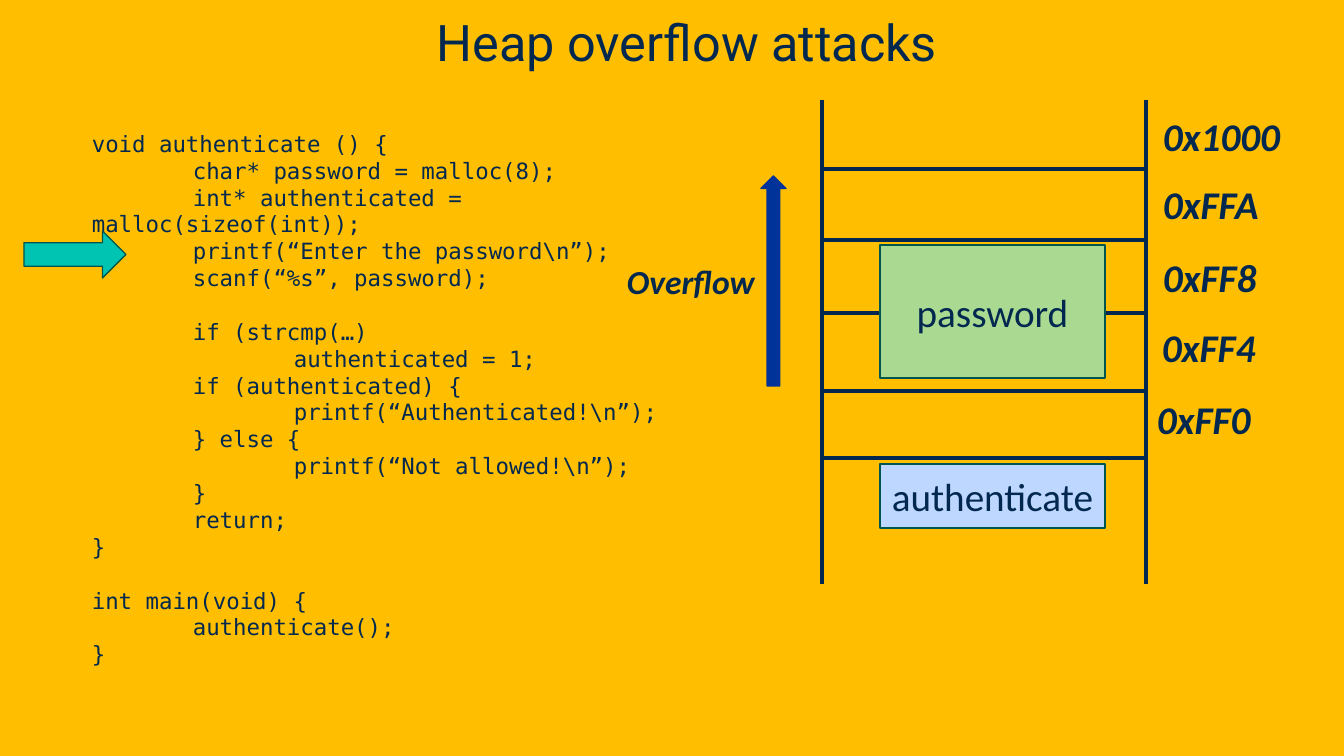
import pptx
import pptx.dml.color
import pptx.enum.shapes
import pptx.enum.text
import pptx.oxml.ns
import pptx.util
from lxml import etree

PX = 914400 / 100.8
NAVY = "022850"
TEAL = "00564E"
SHAPE = pptx.enum.shapes.MSO_SHAPE
ALIGN = pptx.enum.text.PP_ALIGN
ANCHOR = pptx.enum.text.MSO_ANCHOR

CODE = """void authenticate () {
\tchar* password = malloc(8);
\tint* authenticated = malloc(sizeof(int));
\tprintf(“Enter the password\\n”);
\tscanf(“%s”, password);

\tif (strcmp(…)
\t\tauthenticated = 1;
\tif (authenticated) {
\t\tprintf(“Authenticated!\\n”);
\t} else {
\t\tprintf(“Not allowed!\\n”);
\t}
\treturn;
}

int main(void) {
\tauthenticate();
}"""


def px(*lengths):
    return [pptx.util.Emu(round(n * PX)) for n in lengths]


def rgb(color):
    return pptx.dml.color.RGBColor.from_string(color)


def style(p, size, name="Calibri", strong=False):
    p.font.size = pptx.util.Pt(size)
    p.font.name = name
    p.font.color.rgb = rgb(NAVY)
    p.font.bold = p.font.italic = strong


def set_tabs(p, *stops):
    tabs = etree.SubElement(p._p.get_or_add_pPr(), pptx.oxml.ns.qn("a:tabLst"))
    for stop in px(*stops):
        etree.SubElement(tabs, pptx.oxml.ns.qn("a:tab"), pos=str(int(stop)), algn="l")


def add_text_frame(slide, box, wrap=True):
    tf = slide.shapes.add_textbox(*px(*box)).text_frame
    tf.word_wrap = wrap
    return tf


def add_label(slide, box, text, size):
    p = add_text_frame(slide, box, wrap=False).paragraphs[0]
    p.text = text
    style(p, size, strong=True)


def add_block(slide, kind, box, fill, line, text=""):
    sp = slide.shapes.add_shape(kind, *px(*box))
    sp.shadow.inherit = False
    sp.fill.solid()
    sp.fill.fore_color.rgb = rgb(fill)
    sp.line.color.rgb = rgb(line)
    sp.line.width = pptx.util.Pt(1)
    if text:
        tf = sp.text_frame
        tf.word_wrap = True
        tf.vertical_anchor = ANCHOR.MIDDLE
        p = tf.paragraphs[0]
        p.text = text
        p.alignment = ALIGN.CENTER
        style(p, 28)


def add_rule(slide, x1, y1, x2, y2):
    line = slide.shapes.add_connector(
        pptx.enum.shapes.MSO_CONNECTOR.STRAIGHT, *px(x1, y1, x2, y2))
    line.line.color.rgb = rgb(NAVY)
    line.line.width = pptx.util.Pt(2.25)
    etree.SubElement(line._element.spPr, pptx.oxml.ns.qn("a:effectLst"))


def add_title(slide, box):
    tf = add_text_frame(slide, box)
    tf.vertical_anchor = ANCHOR.BOTTOM
    tf.margin_left, = px(40)
    p = tf.paragraphs[0]
    p.text = "Heap overflow attacks"
    p.alignment = ALIGN.CENTER
    style(p, 36, "Roboto")


def add_code(slide, box):
    left, top, _, _ = box
    tf = add_text_frame(slide, box)
    pitch = pptx.util.Pt(19.2)
    p, gap = tf.paragraphs[0], False
    for line in CODE.split("\n"):
        if not line:
            gap = True  # an empty source line becomes space before the next
            continue
        if p.text:
            p = tf.add_paragraph()
        p.text = line
        p.line_spacing = pitch
        p.space_before = pitch if gap else pptx.util.Pt(0)
        set_tabs(p, 101, 202)
        style(p, 16, "DejaVu Sans Mono")
        gap = False
    # Pointer to the current statement
    add_block(slide, SHAPE.RIGHT_ARROW, (left - 58, top + 106, 102, 47),
              "00C4B2", TEAL)


def add_memory(slide, box):
    left, top, width, height = box
    right = left + width
    # Addresses: text, offset from the right wall, offset from the top, width
    for text, dx, dy, w in [("0x1000", 7, 7, 139), ("0xFFA", 7, 75, 117),
                            ("0xFF8", 7, 148, 115), ("0xFF4", 6, 218, 115),
                            ("0xFF0", 1, 290, 115)]:
        add_label(slide, (right + dx, top + dy, w, 57), text, 28)
    # Walls and cell borders
    for x in (left, right):
        add_rule(slide, x, top, x, top + height)
    for dy in (69, 140, 213, 291, 358):
        add_rule(slide, right, top + dy, left, top + dy)
    # Allocated blocks
    for text, dy, h, fill in [("password", 145, 133, "AADA91"),
                              ("authenticate", 364, 64, "BED7FF")]:
        add_block(slide, SHAPE.RECTANGLE, (left + 58, top + dy, 225, h),
                  fill, TEAL, text)
    # Direction of overflow
    add_block(slide, SHAPE.UP_ARROW, (left - 61, top + 76, 25, 210),
              "003399", "003399")
    add_label(slide, (left - 205, top + 156, 149, 50), "Overflow", 24)


def main():
    prs = pptx.Presentation()
    prs.slide_width, prs.slide_height = px(1344, 756)
    slide = prs.slides.add_slide(prs.slide_layouts[6])
    slide.background.fill.solid()
    slide.background.fill.fore_color.rgb = rgb("FFBE00")
    add_code(slide, (82, 125, 621, 556))
    add_title(slide, (0, 0, 1344, 77))
    add_memory(slide, (822, 100, 324, 484))
    prs.save("out.pptx")


if __name__ == "__main__":
    main()
